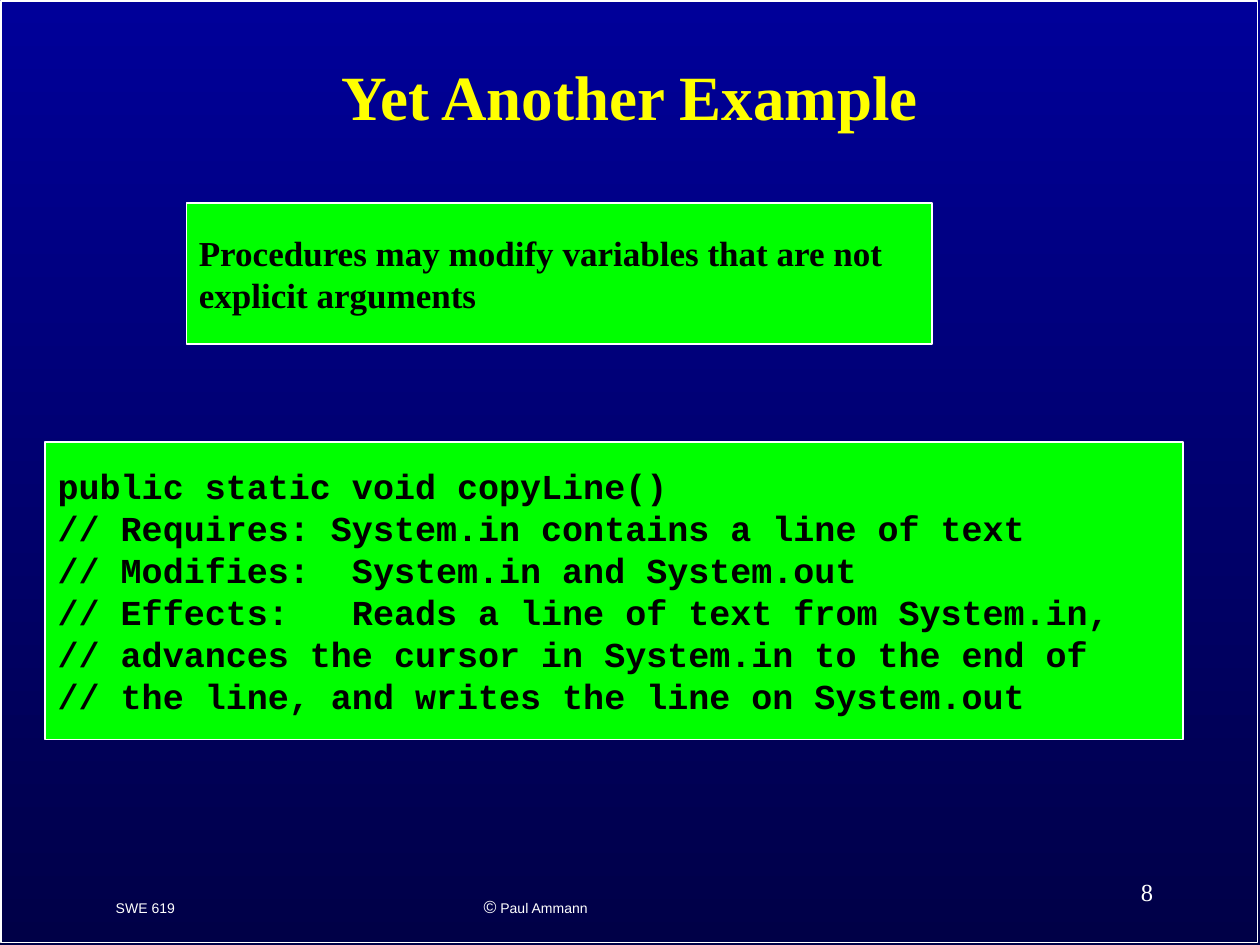
from pptx import Presentation
from pptx.dml.color import RGBColor
from pptx.enum.shapes import MSO_SHAPE
from pptx.enum.text import MSO_ANCHOR, PP_ALIGN
from pptx.util import Inches, Pt

COLORS = {
    "sky": "000099",
    "night": "000047",
    "panel": "00FF00",
    "title": "FFFF00",
    "code": "000000",
    "white": "FFFFFF",
}
SERIF, SANS, MONO = "Times New Roman", "Arial", "Courier New"

NOTE_LINES = ["Procedures may modify variables that are not", "explicit arguments"]
CODE_LINES = [
    "public static void copyLine()",
    "// Requires: System.in contains a line of text",
    "// Modifies:  System.in and System.out",
    "// Effects:   Reads a line of text from System.in,",
    "// advances the cursor in System.in to the end of",
    "// the line, and writes the line on System.out",
]


def color(name):
    return RGBColor.from_string(COLORS[name])


def inches(box):
    return [Inches(length) for length in box]


def style(font, name, size, color_name, bold=False):
    font.name, font.size, font.bold = name, Pt(size), bold
    font.color.rgb = color(color_name)


def add_rectangle(slide, box):
    """White-outlined rectangle without fill or shadow."""
    shape = slide.shapes.add_shape(MSO_SHAPE.RECTANGLE, *inches(box))
    shape.shadow.inherit = False
    shape.fill.background()
    shape.line.color.rgb = color("white")
    shape.line.width = Pt(1)
    return shape


def paint_background(slide):
    fill = slide.background.fill
    fill.gradient()
    fill.gradient_angle = 270
    for stop, name, position in zip(fill.gradient_stops, ("sky", "night"), (0, 1)):
        stop.color.rgb = color(name)
        stop.position = position


def add_title(slide, box, text):
    title = slide.shapes.title
    title.left, title.top, title.width, title.height = inches(box)
    frame = title.text_frame
    frame.text = text
    frame.vertical_anchor = MSO_ANCHOR.MIDDLE
    paragraph = frame.paragraphs[0]
    paragraph.alignment = PP_ALIGN.CENTER
    paragraph.line_spacing = 0.9
    style(paragraph.font, SERIF, 36, "title", bold=True)


def add_panel(slide, box, lines, font_name):
    """Green panel with one paragraph per line."""
    shape = add_rectangle(slide, box)
    shape.fill.solid()
    shape.fill.fore_color.rgb = color("panel")
    frame = shape.text_frame
    frame.text = "\n".join(lines)
    frame.word_wrap = False
    frame.vertical_anchor = MSO_ANCHOR.MIDDLE
    for paragraph in frame.paragraphs:
        paragraph.alignment = PP_ALIGN.LEFT
        style(paragraph.font, font_name, 20, "code", bold=True)


def add_label(slide, box, runs, font_name, alignment=PP_ALIGN.LEFT, anchor=MSO_ANCHOR.TOP):
    """Footer label built from (text, size) runs."""
    frame = slide.shapes.add_textbox(*inches(box)).text_frame
    frame.word_wrap = False
    frame.vertical_anchor = anchor
    paragraph = frame.paragraphs[0]
    paragraph.alignment = alignment
    for text, size in runs:
        run = paragraph.add_run()
        run.text = text
        style(run.font, font_name, size, "white")


def add_footer(slide):
    add_label(slide, (0.82, 7.09, 0.67, 0.24), [("SWE 619", 8)], SANS)
    add_label(slide, (3.74, 7.06, 1.03, 0.54), [("©", 10), (" Paul Ammann", 8)], SANS)
    add_label(slide, (7.17, 6.83, 2.08, 0.5), [("8", 14)], SERIF,
              PP_ALIGN.RIGHT, MSO_ANCHOR.MIDDLE)


def main():
    presentation = Presentation()
    presentation.slide_width, presentation.slide_height = Inches(10), Inches(7.5)
    slide = presentation.slides.add_slide(presentation.slide_layouts[5])

    # Background and page frame
    paint_background(slide)
    add_rectangle(slide, (0.01, 0.01, 9.97, 7.47))

    # Footer, title and panels
    add_footer(slide)
    add_title(slide, (0.75, 0.17, 8.5, 1.25), "Yet Another Example")
    add_panel(slide, (0.36, 3.51, 9.03, 2.36), CODE_LINES, MONO)
    add_panel(slide, (1.48, 1.61, 5.92, 1.12), NOTE_LINES, SERIF)

    presentation.save("out.pptx")


if __name__ == "__main__":
    main()
